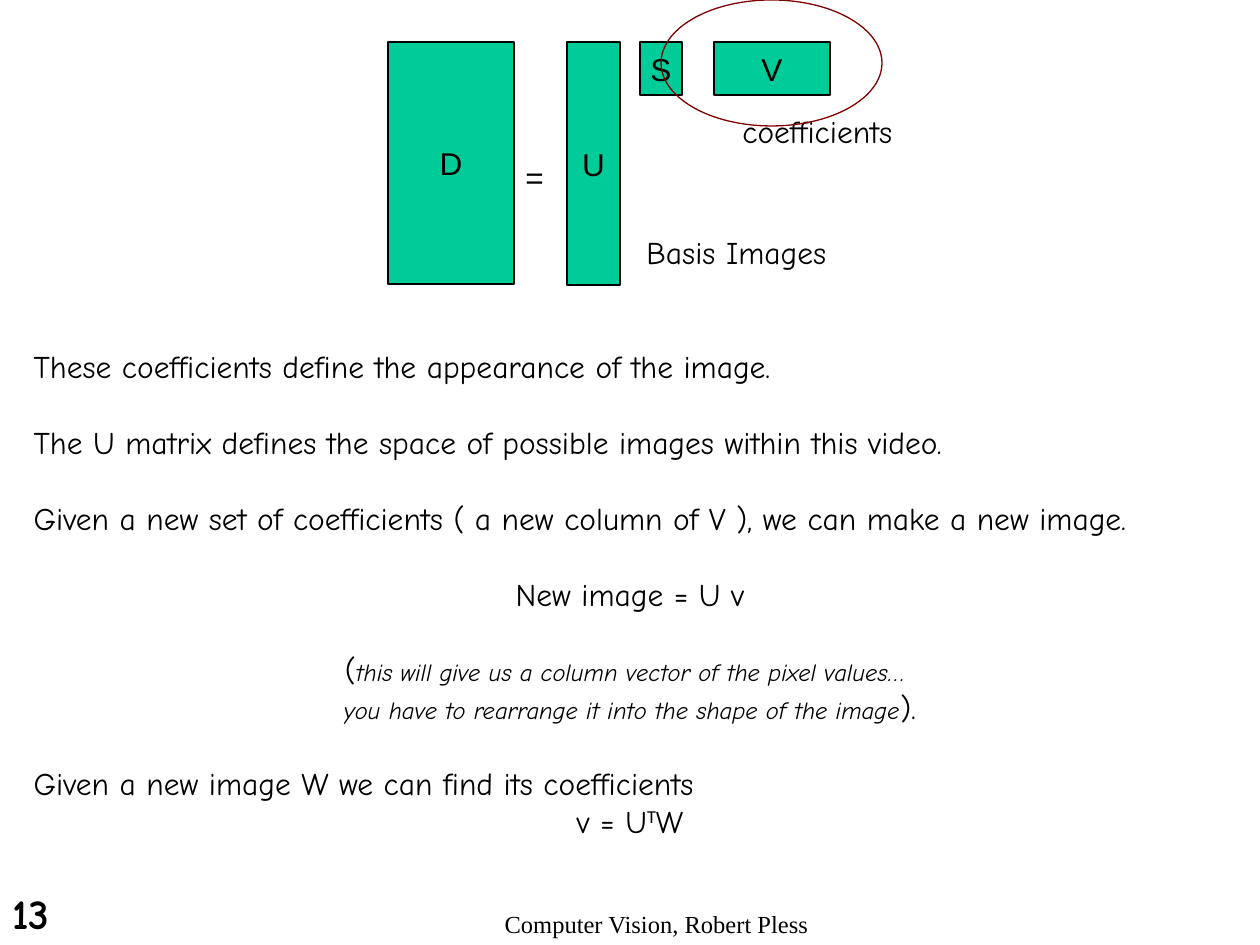
from pptx import Presentation
from pptx.dml.color import RGBColor
from pptx.enum.shapes import MSO_SHAPE
from pptx.enum.text import MSO_ANCHOR, MSO_AUTO_SIZE, PP_ALIGN
from pptx.oxml.ns import qn
from pptx.util import Pt
from lxml.etree import SubElement

BLACK = RGBColor(0x00, 0x00, 0x00)
GREEN = RGBColor(0x00, 0xCC, 0x99)
MAROON = RGBColor(0x80, 0x00, 0x00)
HAND = "Comic Neue"
SANS = "Arial"
SERIF = "Times New Roman"
EMU_PER_PX = 914400 / 126
PARAGRAPH_GAP = 21.7


def px(*lengths):
    return [round(length * EMU_PER_PX) for length in lengths]


class MatrixSlide:
    def __init__(self, presentation):
        self.slide = presentation.slides.add_slide(presentation.slide_layouts[1])
        title = self.slide.shapes.title.element
        title.getparent().remove(title)

    def run(self, paragraph, text, font=HAND, size=18, bold=False, italic=False, raised=False):
        run = paragraph.add_run()
        run.text = text
        run.font.name = font
        run.font.size = Pt(size)
        run.font.bold = bold
        run.font.italic = italic
        run.font.color.rgb = BLACK
        if raised:
            run.font._element.set("baseline", "30000")

    def label(self, box, text, align=PP_ALIGN.LEFT, wrap=False, **style):
        frame = self.slide.shapes.add_textbox(*px(*box)).text_frame
        frame.word_wrap = wrap
        frame.paragraphs[0].alignment = align
        self.run(frame.paragraphs[0], text, **style)

    def outline(self, preset, box, color):
        shape = self.slide.shapes.add_shape(preset, *px(*box))
        shape.shadow.inherit = False
        shape.fill.background()
        shape.line.color.rgb = color
        shape.line.width = Pt(0.75)
        return shape

    def matrix(self, box, letter):
        block = self.outline(MSO_SHAPE.RECTANGLE, box, BLACK)
        block.fill.solid()
        block.fill.fore_color.rgb = GREEN
        frame = block.text_frame
        frame.word_wrap = False
        frame.vertical_anchor = MSO_ANCHOR.MIDDLE
        frame.paragraphs[0].alignment = PP_ALIGN.CENTER
        self.run(frame.paragraphs[0], letter, font=SANS)

    def body(self, box, lines):
        holder = self.slide.placeholders[1]
        holder.left, holder.top, holder.width, holder.height = px(*box)
        frame = holder.text_frame
        frame.auto_size = MSO_AUTO_SIZE.NONE
        for index, (align, gap, runs) in enumerate(lines):
            paragraph = frame.add_paragraph() if index else frame.paragraphs[0]
            properties = paragraph._p.get_or_add_pPr()
            properties.set("marL", "0")
            properties.set("indent", "0")
            SubElement(properties, qn("a:buNone"))
            paragraph.alignment = align
            paragraph.space_before = Pt(gap)
            for text, style in runs:
                self.run(paragraph, text, **style)


def main():
    presentation = Presentation()
    presentation.slide_width, presentation.slide_height = px(1260, 945)
    page = MatrixSlide(presentation)

    page.label((0, 881, 136, 63), "13", wrap=True, size=24, bold=True)
    page.label((0, 903, 1313, 42), "Computer Vision, Robert Pless",
               align=PP_ALIGN.CENTER, wrap=True, font=SERIF, size=14)

    matrix_top = 42
    for letter, left, width, height in [
        ("D", 388, 126, 242),
        ("U", 567, 53, 243),
        ("S", 640, 42, 53),
        ("V", 714, 116, 53),
    ]:
        page.matrix((left, matrix_top, width, height), letter)

    page.label((513, 152, 43, 50), "=", font=SANS)
    page.label((634, 227, 205, 50), "Basis Images")
    page.label((730, 106, 175, 50), "coefficients")
    page.outline(MSO_SHAPE.OVAL, (661, 0, 221, 126), MAROON)

    aside = {"size": 14, "italic": True}
    left, center = PP_ALIGN.LEFT, PP_ALIGN.CENTER
    page.body((21, 341, 1218, 504), [
        (left, 0, [("These coefficients define the appearance of the image.", {})]),
        (left, PARAGRAPH_GAP,
         [("The U matrix defines the space of possible images within this video.", {})]),
        (left, PARAGRAPH_GAP,
         [("Given a new set of coefficients ( a new column of V ), we can make a new image.", {})]),
        (center, PARAGRAPH_GAP, [("New image = U v", {})]),
        (center, PARAGRAPH_GAP,
         [("(", {}), ("this will give us a column vector of the pixel values… ", aside)]),
        (center, 0,
         [("you have to rearrange it into the shape of the image", aside), (").", {})]),
        (left, PARAGRAPH_GAP, [("Given a new image W we can find its coefficients", {})]),
        (center, 0,
         [("v = U", {}), ("T", {"font": "Calibri", "raised": True}), ("W", {})]),
    ])

    presentation.save("out.pptx")


if __name__ == "__main__":
    main()
